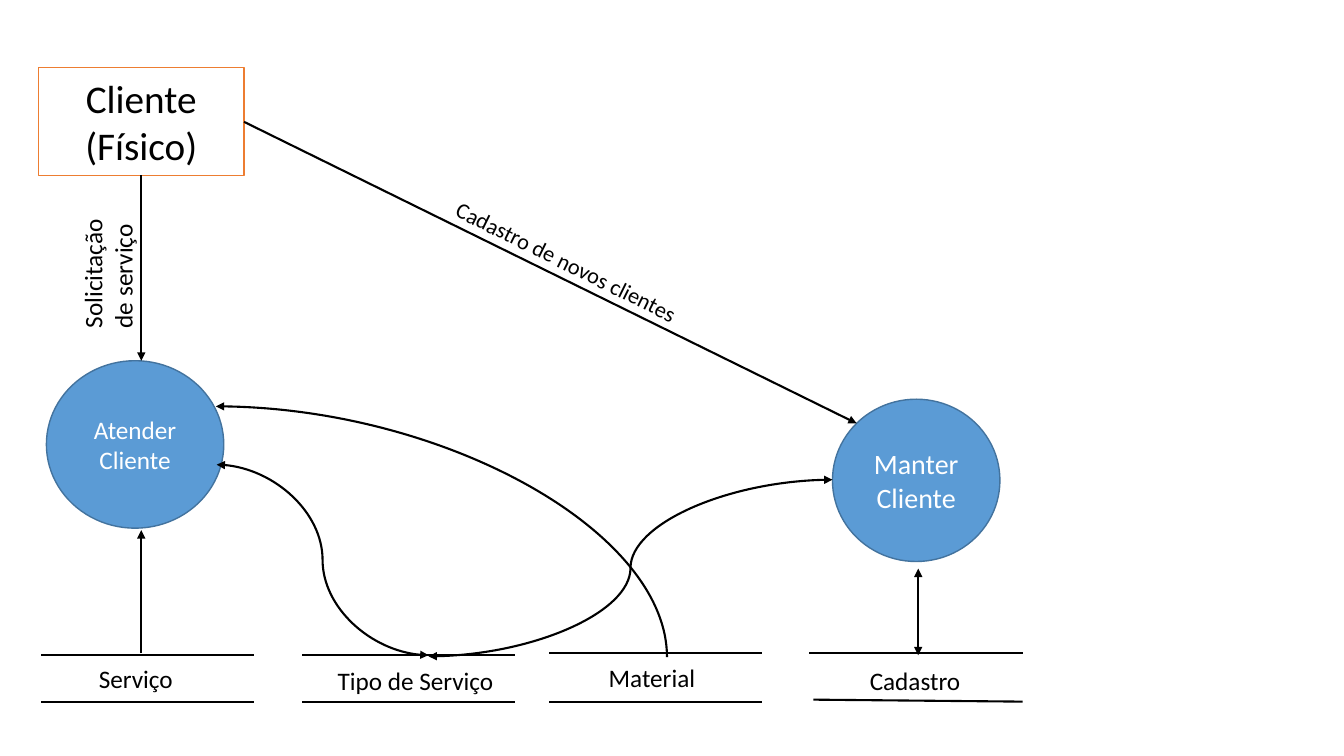
from lxml.etree import SubElement
from pptx import Presentation
from pptx.dml.color import RGBColor
from pptx.enum.shapes import MSO_CONNECTOR as Link, MSO_SHAPE as Preset
from pptx.enum.text import MSO_ANCHOR as Anchor, MSO_AUTO_SIZE as AutoSize, PP_ALIGN as Align
from pptx.oxml.ns import qn
from pptx.util import Cm, Pt

COLORS = {"black": "000000", "white": "FFFFFF", "orange": "ED7D31",
          "blue": "5B9BD5", "navy": "43739E"}


def color(name):
    """Return the named colour."""
    return RGBColor.from_string(COLORS[name])


def write(para, text, size, ink):
    """Add one formatted run to a paragraph."""
    span = para.add_run()
    span.text = text
    span.font.name = "Calibri"
    span.font.size = Pt(size)
    span.font.color.rgb = color(ink)


def add_node(slide, preset, area, lines, size, fill, outline, ink):
    """Add a filled shape with one centred paragraph per line."""
    node = slide.shapes.add_shape(preset, *map(Cm, area))
    node.shadow.inherit = False
    node.fill.solid()
    node.fill.fore_color.rgb = color(fill)
    node.line.color.rgb = color(outline)
    node.line.width = Pt(1)
    frame = node.text_frame
    frame.vertical_anchor = Anchor.MIDDLE
    for number, line in enumerate(lines):
        para = frame.add_paragraph() if number else frame.paragraphs[0]
        para.alignment = Align.CENTER
        write(para, line, size, ink)


def add_label(slide, text, area, size=18, turn=0, wrap=True):
    """Add a text label, turned by the given degrees."""
    box = slide.shapes.add_textbox(*map(Cm, area))
    box.rotation = turn
    frame = box.text_frame
    frame.word_wrap = wrap
    frame.auto_size = AutoSize.SHAPE_TO_FIT_TEXT
    write(frame.paragraphs[0], text, size, "black")


def add_line(slide, start, end, heads=(), kind=Link.STRAIGHT, preset=None):
    """Add a black connector with triangles at the listed ends."""
    line = slide.shapes.add_connector(kind, *map(Cm, (*start, *end)))
    line.line.color.rgb = color("black")
    line.line.width = Pt(1.5)
    properties = line._element.spPr
    if preset:
        properties.find(qn("a:prstGeom")).set("prst", preset)
    outline = properties.find(qn("a:ln"))
    for head in heads:
        SubElement(outline, qn(f"a:{head}"), type="triangle")
    SubElement(properties, qn("a:effectLst"))


def add_store(slide, name, label_area, top, bottom, wrap=True):
    """Add a data store: a label between two lines."""
    add_line(slide, *top)
    add_line(slide, *bottom)
    add_label(slide, name, label_area, wrap=wrap)


def main():
    """Build the data flow diagram."""
    deck = Presentation()
    deck.slide_width, deck.slide_height = Cm(33.87), Cm(19.05)
    slide = deck.slides.add_slide(deck.slide_layouts[6])

    add_node(slide, Preset.RECTANGLE, (0.97, 1.7, 5.18, 2.72),
             ("Cliente", "(Físico)"), 28, "white", "orange", "black")
    processes = [("Atender", (1.17, 9.09, 4.47, 4.22), 18),
                 ("Manter", (20.98, 10.06, 4.22, 4.09), 20)]
    for verb, area, size in processes:
        add_node(slide, Preset.OVAL, area, (verb, "Cliente"), size, "blue", "navy", "white")

    store_width, base = 5.37, 17.68
    stores = [("Serviço", 1.04, 16.51, (2.24, 16.59, 4.62, 1.02), True),
              ("Tipo de Serviço", 7.62, 16.51, (8.26, 16.64, 4.5, 1.02), False),
              ("Material", 13.84, 16.46, (15.09, 16.56, 3.4, 1.02), True),
              ("Cadastro", 20.4, 16.46, (21.67, 16.64, 4.83, 1.02), True)]
    for name, left, top, label_area, wrap in stores:
        right = left + store_width
        base_start = (20.5, 17.63) if name == "Cadastro" else (left, base)
        add_store(slide, name, label_area, ((left, top), (right, top)),
                  (base_start, (right, base)), wrap)

    tail, both = ("tailEnd",), ("headEnd", "tailEnd")
    add_line(slide, (3.56, 4.42), (3.56, 9.09), tail)
    add_line(slide, (3.56, 16.46), (3.56, 13.36), tail)
    add_line(slide, (6.15, 3.07), (21.59, 10.67), tail)
    add_line(slide, (23.14, 14.33), (23.14, 16.51), both)
    add_line(slide, (5.46, 11.71), (10.8, 16.51), both, Link.CURVE)
    add_line(slide, (10.8, 16.54), (20.98, 12.09), both, Link.CURVE)
    add_line(slide, (5.44, 10.24), (16.81, 16.56), ("headEnd",), Link.CURVE, "curvedConnector2")

    add_label(slide, "Cadastro de novos clientes", (10.97, 6.15, 6.68, 0.94), 16, 26.4, False)
    add_label(slide, "Solicitação de serviço", (0.89, 5.79, 3.66, 1.8), turn=270)
    deck.save("out.pptx")


main()
